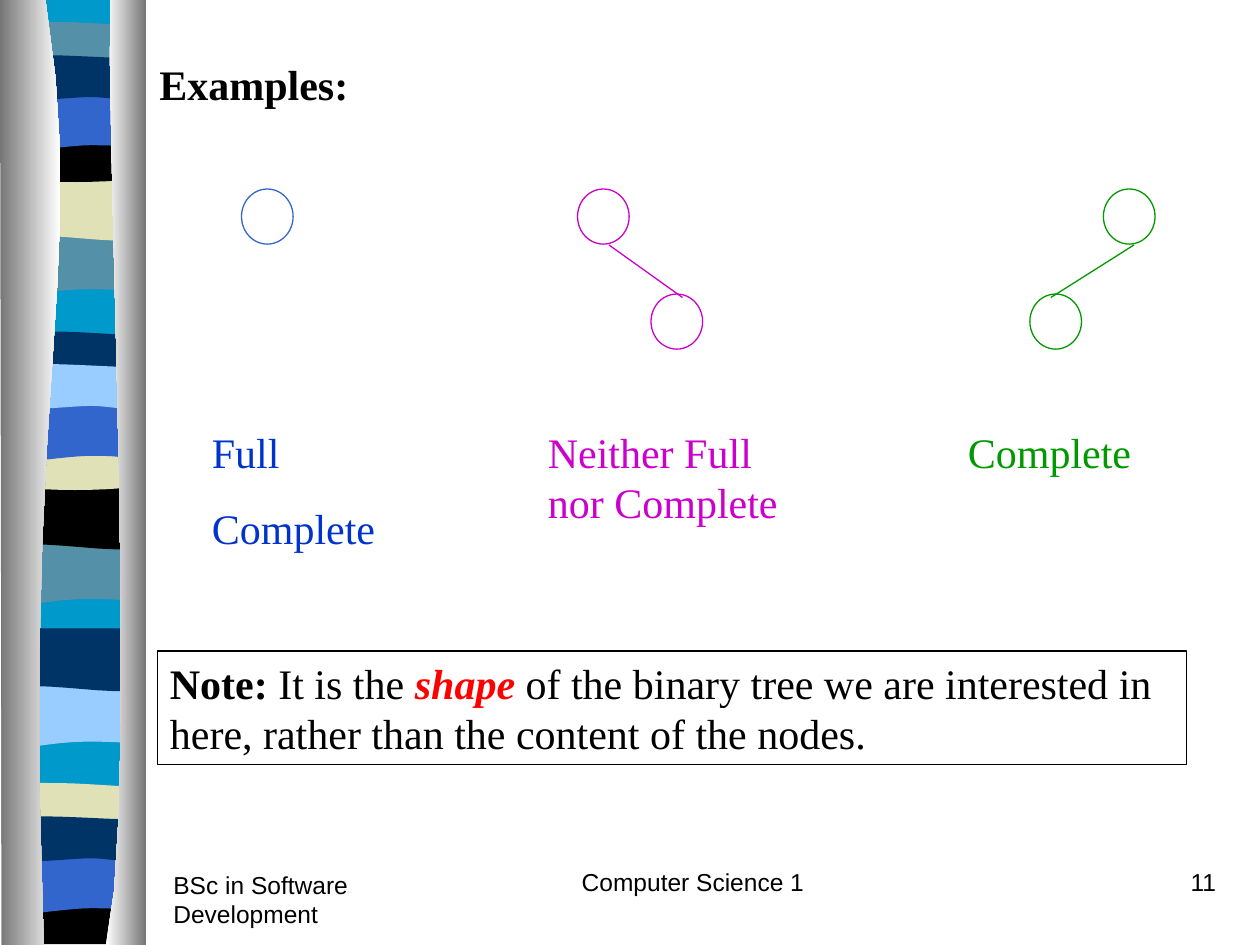
"""Build a slide of small binary tree examples beside a striped side band."""
from pptx import Presentation
from pptx.dml.color import RGBColor
from pptx.enum import shapes, text
from pptx.oxml import ns
from pptx.util import Pt
from lxml import etree

colour = RGBColor.from_string
deck = Presentation()
deck.slide_width, deck.slide_height = Pt(720), Pt(540)
page = deck.slides.add_slide(deck.slide_layouts[6])


def place(left, top, width, height, border=None):
    area = [Pt(v) for v in (left, top, width, height)]
    if border:
        box = page.shapes.add_shape(shapes.MSO_SHAPE.RECTANGLE, *area)
        box.shadow.inherit = False
        box.fill.background()
        box.line.color.rgb = colour(border)
        box.line.width = Pt(0.75)
    else:
        box = page.shapes.add_textbox(*area)
    frame = box.text_frame
    frame.word_wrap = True
    frame.vertical_anchor = text.MSO_ANCHOR.TOP
    return frame


def write(frame, words, fresh=True, size=24, font="Times New Roman", ink="000000",
          bold=False, italic=False, before=15, align=text.PP_ALIGN.LEFT):
    para = frame.paragraphs[-1]
    if fresh and para.runs:
        para = frame.add_paragraph()
    para.alignment = align
    para.space_before = Pt(before)
    span = para.add_run()
    span.text = words
    span.font.size, span.font.name = Pt(size), font
    span.font.bold, span.font.italic = bold, italic
    span.font.color.rgb = colour(ink)


# Outlines start at a point; pairs are straight edges and sixes are Bezier edges.
wave = [(78, 0), (78, 34), (24, 28, 13, 40, 0, 34), (0, 0)]
swell = [(78, 0), (78, 34), (65, 40, 24, 30, 0, 34), (0, 0)]
lens = [(78, 3.6), (78, 21), (65, 24, 13, 24, 0, 21), (0, 3.6),
        (4, 0, 17, 1, 30, 1), (42, 1, 68, 3, 78, 3.6)]
scoop = [(78, 0), (78, 23), (65, 27, 13, 27, 0, 23), (0, 0), (48, 3.6, 61, 0, 78, 0)]
arch = [(78, 0), (78, 34), (66, 30, 60, 30, 48, 30), (35, 30, 12, 34, 0, 34), (0, 0)]
ribbon = [(78, 3.6), (78, 26), (73, 30, 60, 26, 48, 26), (35, 26, 8, 30, 0, 26),
          (0, 3.6), (11, 0, 53, 3.6, 66, 3.6), (78, 3.6)]
base = [(78, 0), (78, 27), (0, 27), (0, 0), (48, 3.6, 61, 0, 78, 0)]
backdrop = [(78, 0), (78, 538), (0, 538), (0, 0)]
left_column = [(26, 0), (51, 156, 12, 213, 25, 540), (1, 540), (0, 0)]
right_column = [(63, 0), (60.5, 91, 80, 465, 60.5, 540), (83.5, 540), (83.5, 0)]

cyan, slate, sand, black = "0099CC", "5490A8", "E1E1B7", "000000"
blue, navy, sky = "3366CC", "003366", "99CCFF"
bands = [
    (backdrop, 4, 0, [cyan]),
    (wave, 4, 133, [slate]), (swell, 4, 101.5, [sand]), (lens, 4, 11.5, [slate]),
    (scoop, 4, 78, [black]), (arch, 4, 53, [blue]), (ribbon, 4, 29.5, [navy]),
    (wave, 4, 310, [slate]), (swell, 4, 278, [black]), (lens, 4, 188.5, [navy]),
    (scoop, 4, 254, [sand]), (arch, 4, 230.5, [blue]), (ribbon, 4, 206, [sky]),
    (wave, 4, 391.5, [sky]), (swell, 4, 359, [navy]), (lens, 4, 446.5, [sand]),
    (base, 4, 512.5, [black]), (arch, 4, 489, [blue]), (ribbon, 4, 464.5, [navy]),
    (left_column, 0, 0, ["767676", "FFFFFF"]),
    (right_column, 0, 0, ["FFFFFF", "767676"]),
]
steps = 10
for outline, left, top, inks in bands:
    points = [outline[0]]
    for edge in outline[1:]:
        if len(edge) == 2:
            points.append(edge)
            continue
        (x0, y0), (x1, y1, x2, y2, x3, y3) = points[-1], edge
        for step in range(1, steps + 1):
            t = step / steps
            a, b, c, d = (1 - t) ** 3, 3 * t * (1 - t) ** 2, 3 * t * t * (1 - t), t ** 3
            points.append((a * x0 + b * x1 + c * x2 + d * x3,
                           a * y0 + b * y1 + c * y2 + d * y3))
    corners = [(Pt(left + x), Pt(top + y)) for x, y in points]
    builder = page.shapes.build_freeform(*corners[0])
    builder.add_line_segments(corners[1:], close=True)
    band = builder.convert_to_shape()
    band.shadow.inherit = False
    band.line.fill.background()
    if len(inks) == 1:
        band.fill.solid()
        band.fill.fore_color.rgb = colour(inks[0])
    else:
        band.fill.gradient()
        band.fill.gradient_angle = 0
        for stop, ink in zip(band.fill.gradient_stops, inks):
            stop.color.rgb = colour(ink)

write(place(84, 30, 594, 36), "Examples:", bold=True)

trees = [
    (blue, [(138, 108)], None),
    ("CC00CC", [(330, 108), (372, 168)], (348, 140, 390, 170)),
    ("009900", [(630.5, 108), (588.5, 168)], (648, 140, 600.5, 170)),
]
for ink, nodes, branch in trees:
    for x, y in nodes:
        node = page.shapes.add_shape(shapes.MSO_SHAPE.OVAL, Pt(x), Pt(y), Pt(29.5), Pt(31.5))
        node.shadow.inherit = False
        node.fill.background()
        node.line.color.rgb = colour(ink)
        node.line.width = Pt(0.75)
    if branch:
        link = page.shapes.add_connector(shapes.MSO_CONNECTOR.STRAIGHT, *map(Pt, branch))
        link.line.color.rgb = colour(ink)
        link.line.width = Pt(0.75)
        etree.SubElement(link._element.spPr, ns.qn("a:effectLst"))

captions = [
    (114, 114, 80, "0033CC", ["Full", "Complete"]),
    (306, 168, 65, "CC00CC", ["Neither Full nor Complete"]),
    (546, 114, 36, "009900", ["Complete"]),
]
for left, width, height, ink, lines in captions:
    caption = place(left, 240, width, height)
    for line in lines:
        write(caption, line, ink=ink)

note = place(90, 372, 588, 65, border=black)
write(note, "Note:", bold=True)
write(note, " It is the ", fresh=False)
write(note, "shape", fresh=False, ink="FF0000", bold=True, italic=True)
write(note, " of the binary tree we are interested in here, rather than the content "
            "of the nodes.", fresh=False)

footers = [
    ("Computer Science 1", 282, 492, 228, text.PP_ALIGN.CENTER),
    ("11", 552, 492, 150, text.PP_ALIGN.RIGHT),
    ("BSc in Software Development", 92, 493.5, 150, text.PP_ALIGN.LEFT),
]
for words, left, top, width, align in footers:
    write(place(left, top, width, 36), words, size=14, font="Arial", before=8.8, align=align)

deck.save("out.pptx")
